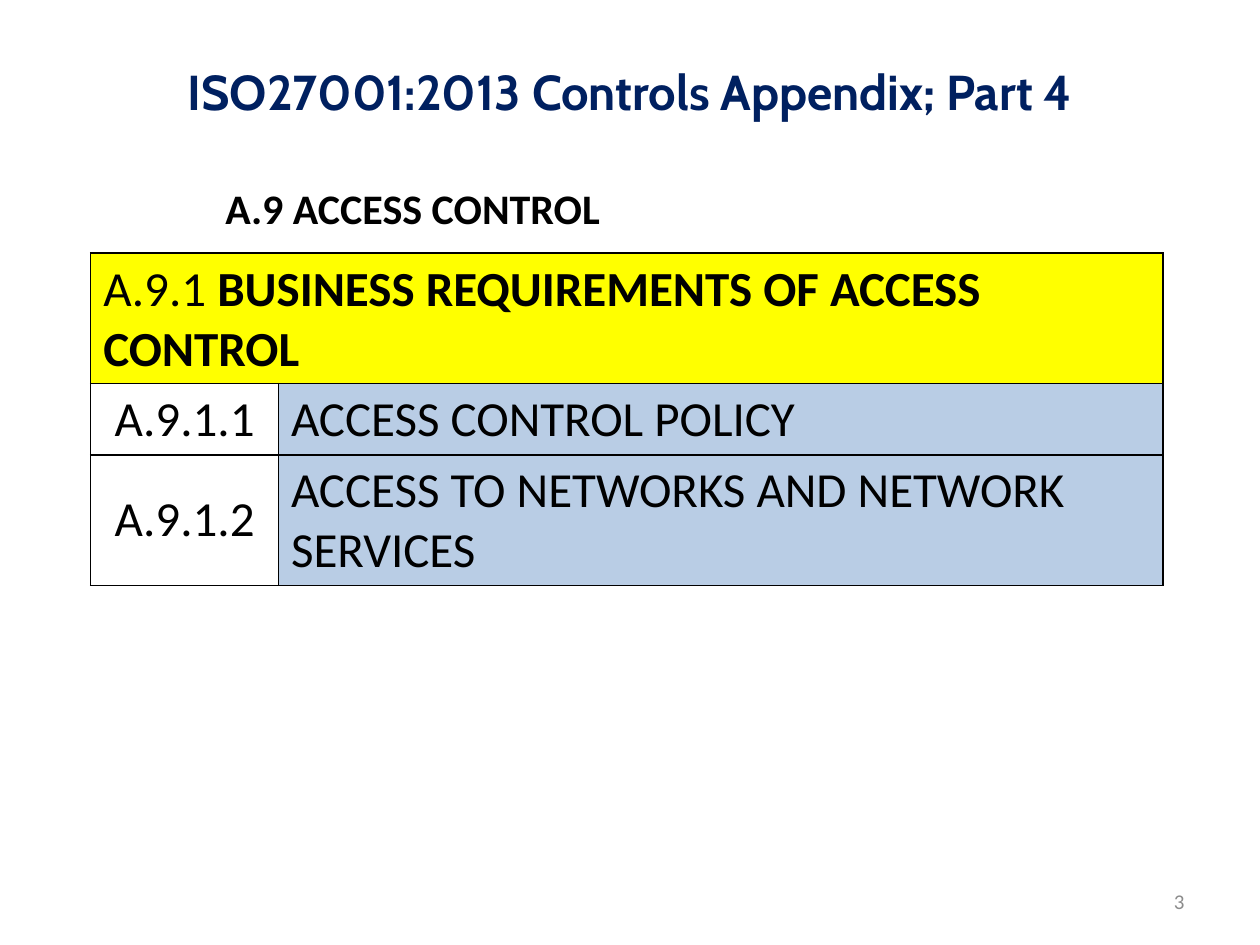
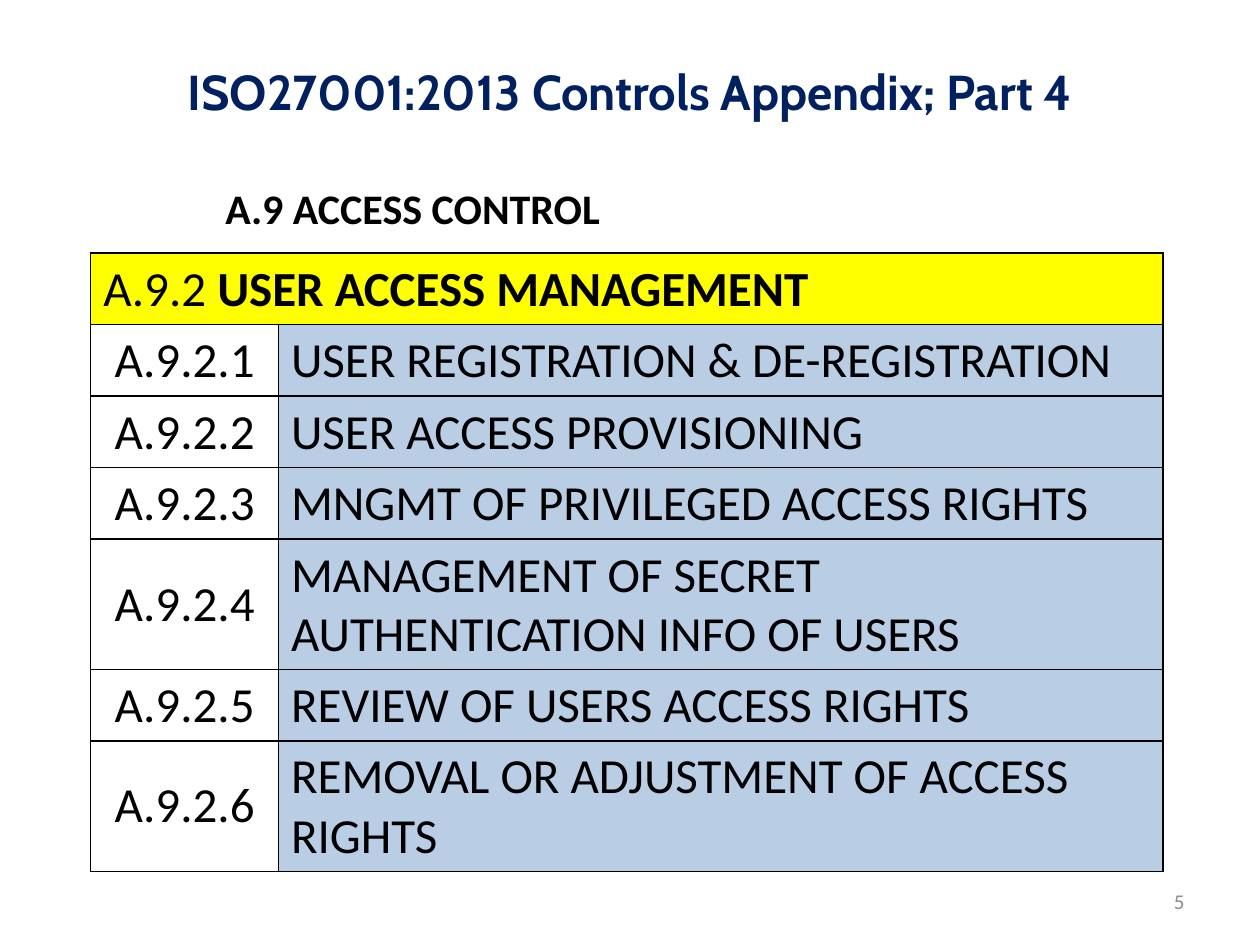
import pptx
import pptx.dml.color
import pptx.enum.text
import pptx.oxml
import pptx.oxml.ns
import pptx.util

RGBColor = pptx.dml.color.RGBColor
Align = pptx.enum.text.PP_ALIGN
Anchor = pptx.enum.text.MSO_ANCHOR

NAVY = RGBColor(0x00, 0x20, 0x60)
BLACK = RGBColor(0x00, 0x00, 0x00)
GREY = RGBColor(0x8C, 0x8C, 0x8C)
YELLOW = RGBColor(0xFF, 0xFF, 0x00)
PALE_BLUE = RGBColor(0xB9, 0xCD, 0xE5)
TITLE_FONT, BODY_FONT = "Cabin", "Calibri"

# The slide is a grid of 20 columns and 15 rows of square units.
UNIT = pptx.util.Inches(0.5)
SLIDE_COLUMNS, SLIDE_ROWS = 20, 15
TITLE_BOX = (1, 0.46, 18, 1.96)
HEADING_BOX = (3.38, 2.8, 6.4, 1)
TABLE_BOX = (1.44, 4.02, 17.02)
NUMBER_BOX = (14.34, 13.9, 4.66, 0.8)
ID_COLUMNS = 2.98

TABLE_SIZE = 28
LINE_HEIGHT = pptx.util.Pt(TABLE_SIZE * 1.2)
CELL_PADDING = pptx.util.Inches(0.1)

TITLE = "ISO27001:2013 Controls Appendix; Part 4"
HEADING = "A.9 ACCESS CONTROL"
# Each row of text is paired with the number of lines it takes.
PAGES = [
    ("3", "A.9.1", ("BUSINESS REQUIREMENTS OF ACCESS CONTROL", 2), [
        ("ACCESS CONTROL POLICY", 1),
        ("ACCESS TO NETWORKS AND NETWORK SERVICES", 2),
    ]),
    ("5", "A.9.2", ("USER ACCESS MANAGEMENT", 1), [
        ("USER REGISTRATION & DE-REGISTRATION", 1),
        ("USER ACCESS PROVISIONING", 1),
        ("MNGMT OF PRIVILEGED ACCESS RIGHTS", 1),
        ("MANAGEMENT OF SECRET AUTHENTICATION INFO OF USERS", 2),
        ("REVIEW OF USERS ACCESS RIGHTS", 1),
        ("REMOVAL OR ADJUSTMENT OF ACCESS RIGHTS", 2),
    ]),
]


def units(*counts):
    return [round(count * UNIT) for count in counts]


def style_run(run, size, color=BLACK, bold=False, font=BODY_FONT):
    run.font.name = font
    run.font.size = pptx.util.Pt(size)
    run.font.bold = bold
    run.font.color.rgb = color


def add_text(slide, box, text, align, anchor, wrap=True, **style):
    text_frame = slide.shapes.add_textbox(*units(*box)).text_frame
    text_frame.text = text
    text_frame.word_wrap = wrap
    text_frame.vertical_anchor = anchor
    paragraph = text_frame.paragraphs[0]
    paragraph.alignment = align
    style_run(paragraph.runs[0], **style)
    return text_frame


def add_frame(slide, number):
    """Add the title, section heading and page number that every slide has."""
    add_text(slide, NUMBER_BOX, number, Align.RIGHT, Anchor.MIDDLE, size=12, color=GREY)
    add_text(slide, TITLE_BOX, TITLE, Align.CENTER, Anchor.MIDDLE,
             size=28, color=NAVY, bold=True, font=TITLE_FONT)
    heading = add_text(slide, HEADING_BOX, HEADING, Align.LEFT, Anchor.TOP, wrap=False,
                       size=24, bold=True)
    heading.auto_size = pptx.enum.text.MSO_AUTO_SIZE.SHAPE_TO_FIT_TEXT


def add_borders(cell):
    """Draw a one-point black line on all four sides, ahead of the fill."""
    properties = cell._tc.get_or_add_tcPr()
    for position, side in enumerate(("lnL", "lnR", "lnT", "lnB")):
        properties.insert(position, pptx.oxml.parse_xml(
            f'<a:{side} {pptx.oxml.ns.nsdecls("a")} w="{pptx.util.Pt(1)}">'
            f'<a:solidFill><a:srgbClr val="{BLACK}"/></a:solidFill></a:{side}>'))


def fill_cell(cell, text, fill=None, align=Align.LEFT, anchor=Anchor.MIDDLE):
    cell.text = text
    cell.vertical_anchor = anchor
    paragraph = cell.text_frame.paragraphs[0]
    paragraph.alignment = align
    style_run(paragraph.runs[0], TABLE_SIZE)
    if fill is None:
        cell.fill.background()
    else:
        cell.fill.solid()
        cell.fill.fore_color.rgb = fill
    add_borders(cell)
    return paragraph


def add_controls_table(slide, box, section, group, controls):
    left, top, width = units(*box)
    heights = [CELL_PADDING + lines * LINE_HEIGHT for _, lines in [group, *controls]]
    table = slide.shapes.add_table(
        len(heights), 2, left, top, width, sum(heights)).table
    table.first_row = table.horz_banding = False
    id_width = units(ID_COLUMNS)[0]
    for column, column_width in zip(table.columns, (id_width, width - id_width)):
        column.width = column_width
    for row, height in zip(table.rows, heights):
        row.height = height

    header = table.cell(0, 0)
    header.merge(table.cell(0, 1))
    add_borders(table.cell(0, 1))
    paragraph = fill_cell(header, f"{section} ", YELLOW, anchor=Anchor.TOP)
    group_run = paragraph.add_run()
    group_run.text = group[0]
    style_run(group_run, TABLE_SIZE, bold=True)

    for index, (name, _) in enumerate(controls, start=1):
        fill_cell(table.cell(index, 0), f"{section}.{index}", align=Align.CENTER)
        fill_cell(table.cell(index, 1), name, PALE_BLUE)


def main():
    presentation = pptx.Presentation()
    presentation.slide_width, presentation.slide_height = units(SLIDE_COLUMNS, SLIDE_ROWS)
    for number, section, group, controls in PAGES:
        slide = presentation.slides.add_slide(presentation.slide_layouts[6])
        add_frame(slide, number)
        add_controls_table(slide, TABLE_BOX, section, group, controls)
    presentation.save("out.pptx")


if __name__ == "__main__":
    main()
